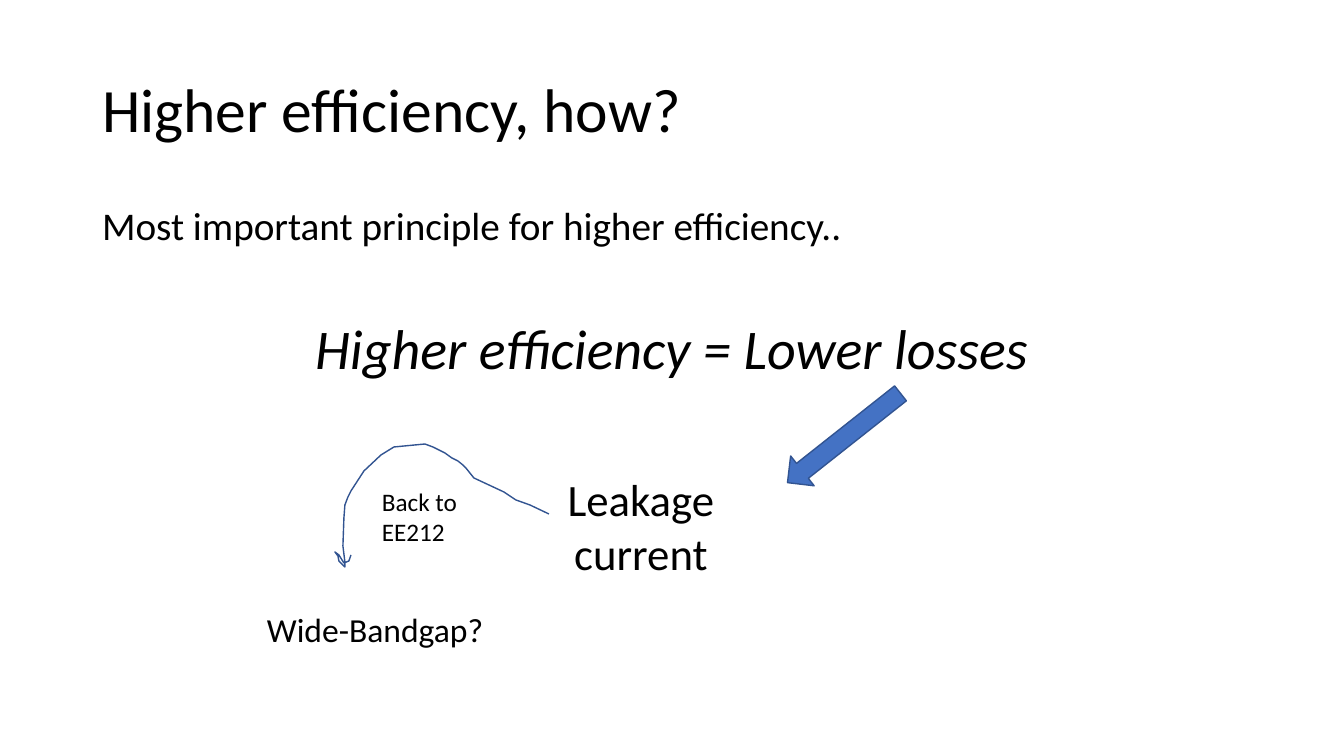
from lxml import etree
from pptx import Presentation
from pptx import util as u
from pptx.dml.color import RGBColor
from pptx.enum import shapes, text
from pptx.oxml import ns

PX = 914400 / 100.8
BLACK = RGBColor(0x00, 0x00, 0x00)
BLUE = RGBColor(0x44, 0x72, 0xC4)
DARK_BLUE = RGBColor(0x32, 0x54, 0x91)
LEFT, CENTER = text.PP_ALIGN.LEFT, text.PP_ALIGN.CENTER

BACK_ARROW = [
    (549, 514), (530, 505), (516, 500), (504, 492), (474, 478), (466, 468),
    (463, 465), (458, 461), (452, 458), (445, 453), (433, 447), (425, 444),
    (394, 447), (381, 455), (364, 471), (351, 491), (348, 497), (345, 505),
    (344, 518), (343, 546), (345, 562), (345, 567), (339, 561), (338, 556),
    (335, 552), (339, 555), (344, 563), (349, 561), (351, 555),
]


def px(*lengths):
    return [u.Emu(round(n * PX)) for n in lengths]


class Deck:
    font = "Calibri"

    def __init__(self, width, height):
        self.prs = Presentation()
        self.prs.slide_width, self.prs.slide_height = px(width, height)
        self.s = self.prs.slides.add_slide(self.prs.slide_layouts[1])

    def set_text(self, p, words, size, align=LEFT, italic=False):
        p.text = words
        p.alignment = align
        for r in p.runs:
            r.font.name = self.font
            r.font.size = u.Pt(size)
            r.font.italic = italic
            r.font.color.rgb = BLACK

    def place(self, sp, box, anchor):
        sp.left, sp.top, sp.width, sp.height = px(*box)
        tf = sp.text_frame
        tf.word_wrap = True
        tf.auto_size = text.MSO_AUTO_SIZE.NONE
        tf.vertical_anchor = anchor
        return tf

    def title(self, box, words, size):
        tf = self.place(self.s.shapes.title, box, text.MSO_ANCHOR.MIDDLE)
        p = tf.paragraphs[0]
        self.set_text(p, words, size)
        p.line_spacing = 0.9

    def body(self, box, items):
        tf = self.place(self.s.placeholders[1], box, text.MSO_ANCHOR.TOP)
        tf.text = "\n".join(words for words, *_ in items)
        for p, (words, size, before, align, italic) in zip(tf.paragraphs, items):
            self.set_text(p, words, size, align, italic)
            p.line_spacing = 0.9
            p.space_before = u.Pt(before)
            pPr = p._p.get_or_add_pPr()
            pPr.set("marL", "0")
            pPr.set("indent", "0")
            etree.SubElement(pPr, ns.qn("a:buNone"))

    def label(self, box, words, size, align=LEFT):
        sp = self.s.shapes.add_textbox(*px(*box))
        tf = sp.text_frame
        tf.word_wrap = True
        tf.auto_size = text.MSO_AUTO_SIZE.SHAPE_TO_FIT_TEXT
        self.set_text(tf.paragraphs[0], words, size, align)

    def outline(self, sp):
        sp.shadow.inherit = False
        sp.line.color.rgb = DARK_BLUE
        sp.line.width = u.Pt(1)

    def block_arrow(self, box, angle):
        sp = self.s.shapes.add_shape(shapes.MSO_SHAPE.DOWN_ARROW, *px(*box))
        sp.rotation = angle
        sp.fill.solid()
        sp.fill.fore_color.rgb = BLUE
        self.outline(sp)

    def stroke(self, points):
        fb = self.s.shapes.build_freeform(*points[0], scale=PX)
        fb.add_line_segments(points[1:], close=False)
        sp = fb.convert_to_shape()
        sp.fill.background()
        self.outline(sp)


def main():
    deck = Deck(1344, 756)
    deck.title((92, 40, 1159, 146), "Higher efficiency, how?", 44)
    deck.body((92, 202, 1159, 480), [
        ("Most important principle for higher efficiency..", 28, 10, LEFT, False),
        ("Higher efficiency = Lower losses", 40, 51, CENTER, True),
    ])
    deck.block_arrow((825, 366, 38, 144), 51.7)
    deck.label((526, 467, 230, 119), "Leakage current", 32, CENTER)
    deck.label((257, 604, 269, 50), "Wide-Bandgap?", 24)
    deck.stroke(BACK_ARROW)
    deck.label((372, 481, 97, 72), "Back to EE212", 18)
    deck.prs.save("out.pptx")


if __name__ == "__main__":
    main()
